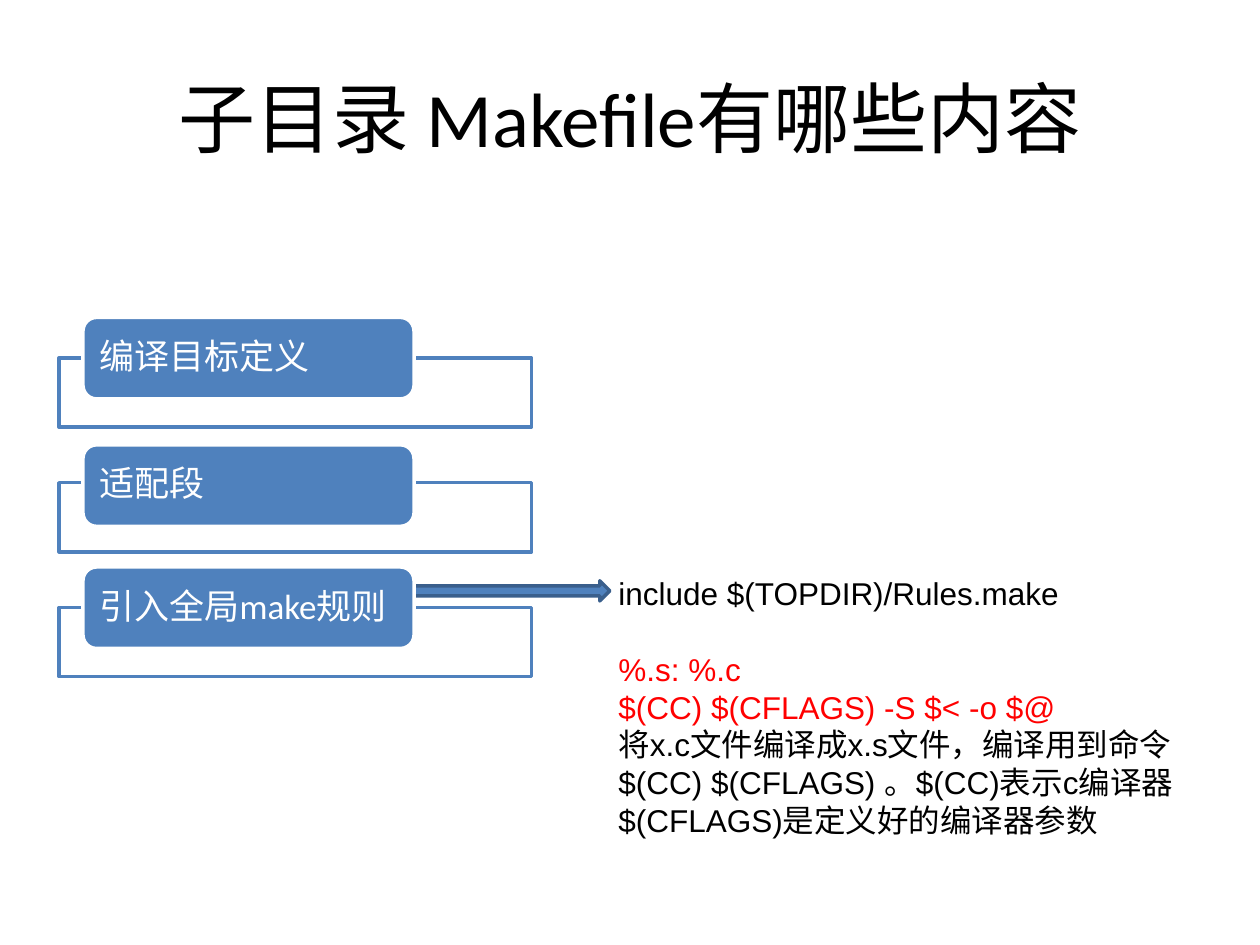
from pptx import Presentation
from pptx.dml.color import RGBColor as RGB
from pptx.enum.shapes import MSO_SHAPE as Kind
from pptx.enum.text import MSO_ANCHOR as Anchor, PP_ALIGN as Align
from pptx.oxml.ns import qn
from pptx.util import Pt
from lxml.etree import SubElement

TITLE = "子目录 Makefile有哪些内容"
# label, top of its tab
PARTS = [("编译目标定义", 181.4), ("适配段", 254.2), ("引入全局make规则", 324)]
# lines of one paragraph, colour name, space before
NOTES = [
    (["include $(TOPDIR)/Rules.make"], "ink", 0),
    (["%.s: %.c", "$(CC) $(CFLAGS) -S $< -o $@"], "red", 21.5),
    (["将x.c文件编译成x.s文件，编译用到命令"], "ink", 0),
    (["$(CC) $(CFLAGS) 。$(CC)表示c编译器"], "ink", 0),
    (["$(CFLAGS)是定义好的编译器参数"], "ink", 0),
]
THEME = {
    "ink": RGB(0, 0, 0), "red": RGB(255, 0, 0), "white": RGB(255, 255, 255),
    "blue": RGB(0x4F, 0x81, 0xBD), "edge": RGB(0x3A, 0x5F, 0x8C),
    "head": "Calibri", "body": "Arial",
    "title": 44, "label": 20, "note": 18, "line": 2,
}
FRAME_TOP, FRAME_STEP = 204.5, 71.3


def add_run(para, text, font, size, color):
    run = para.add_run()
    run.text = text
    run.font.name = THEME[font]
    run.font.size = Pt(THEME[size])
    run.font.color.rgb = THEME[color]


def add_box(slide, *rect):
    frame = slide.shapes.add_textbox(*map(Pt, rect)).text_frame
    frame.word_wrap = True
    return frame


def add_block(slide, kind, rect, fill, line):
    block = slide.shapes.add_shape(kind, *map(Pt, rect))
    block.shadow.inherit = False
    block.fill.solid()
    block.fill.fore_color.rgb = THEME[fill]
    block.line.color.rgb = THEME[line]
    block.line.width = Pt(THEME["line"])
    return block


def add_part(slide, label, top, frame_top):
    """Draw an open frame with a labelled tab over its upper edge."""
    frame = add_block(slide, Kind.RECTANGLE, (33.8, frame_top, 270, 39.6), "white", "blue")
    color = frame.fill._xPr.find(qn("a:solidFill"))[0]
    SubElement(color, qn("a:alpha"), val="90000")
    tab = add_block(slide, Kind.ROUNDED_RECTANGLE, (47.4, top, 189.2, 46.6), "blue", "white")
    text = tab.text_frame
    text.word_wrap = True
    text.vertical_anchor = Anchor.MIDDLE
    text.margin_top = text.margin_bottom = 0
    para = text.paragraphs[0]
    para.alignment = Align.LEFT
    para.line_spacing = 0.9
    add_run(para, label, "head", "label", "white")


def main():
    deck = Presentation()
    deck.slide_width, deck.slide_height = Pt(720), Pt(540)
    slide = deck.slides.add_slide(deck.slide_layouts[6])

    title = add_box(slide, 36, 21.6, 648, 90)
    title.vertical_anchor = Anchor.MIDDLE
    title.paragraphs[0].alignment = Align.CENTER
    add_run(title.paragraphs[0], TITLE, "head", "title", "ink")

    notes = add_box(slide, 346.3, 324.7, 334.8, 181.4)
    for i, (lines, color, gap) in enumerate(NOTES):
        para = notes.add_paragraph() if i else notes.paragraphs[0]
        para.space_before = Pt(gap)
        for j, line in enumerate(lines):
            if j:
                para.add_line_break()
            add_run(para, line, "body", "note", color)

    add_block(slide, Kind.RIGHT_ARROW, (236.2, 331.9, 112.3, 11.5), "blue", "edge")
    for i, (label, top) in enumerate(PARTS):
        add_part(slide, label, top, FRAME_TOP + i * FRAME_STEP)

    deck.save("out.pptx")


if __name__ == "__main__":
    main()
